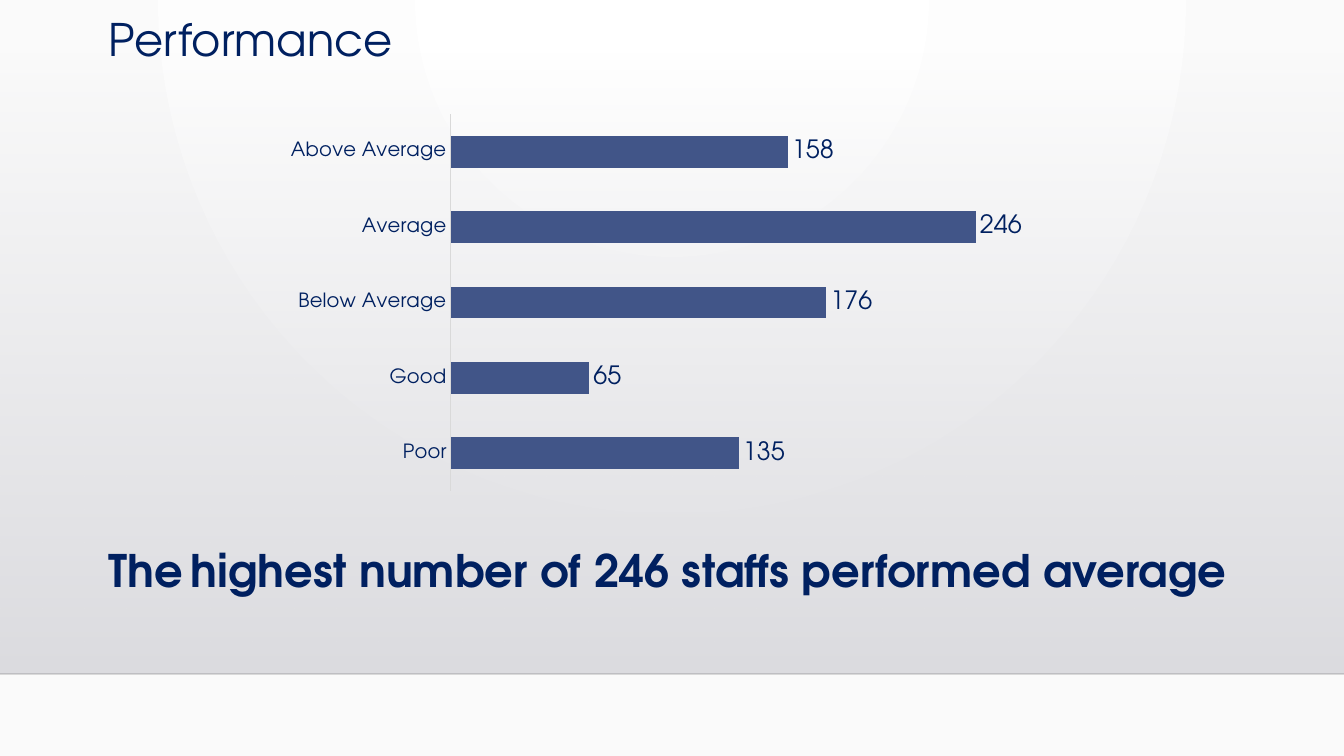
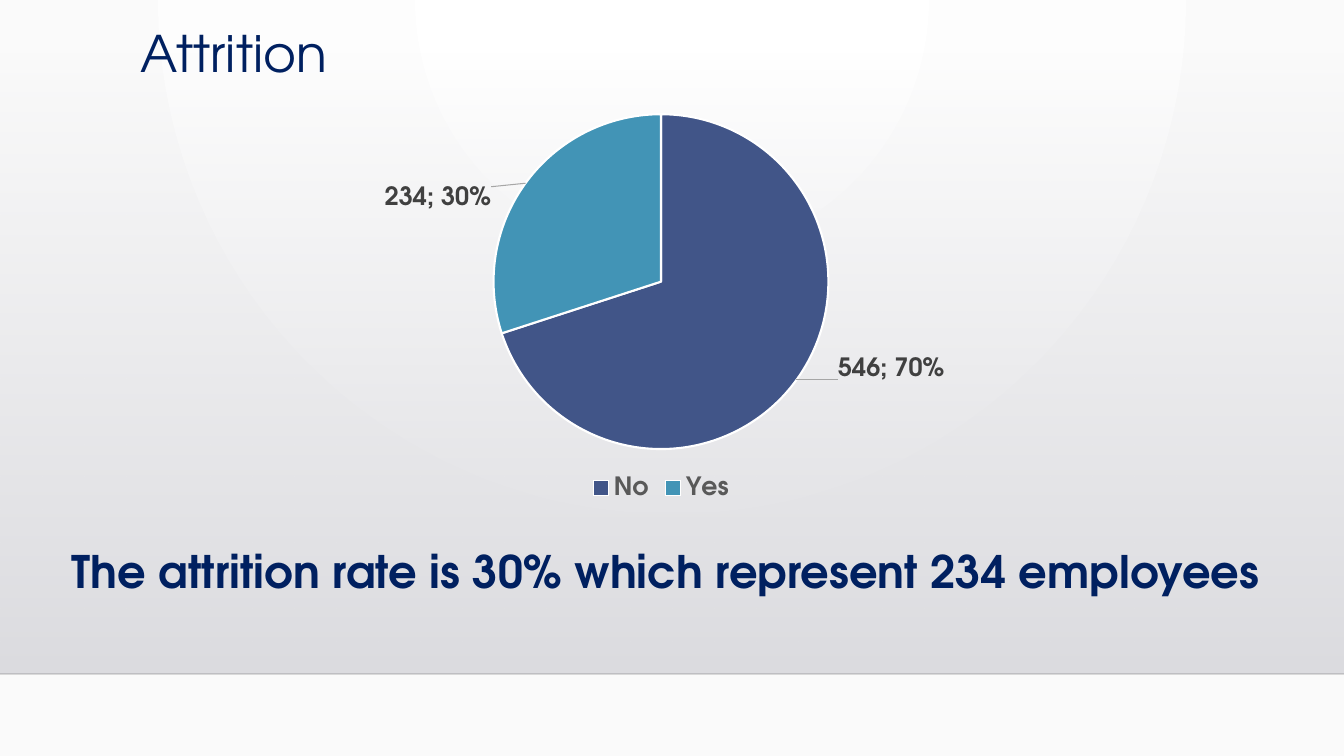
from pptx import Presentation
from pptx.chart.data import CategoryChartData
from pptx.dml.color import RGBColor
from pptx.enum.chart import XL_CHART_TYPE as ChartType
from pptx.enum.chart import XL_LABEL_POSITION as LabelPosition
from pptx.enum.chart import XL_LEGEND_POSITION as LegendPosition
from pptx.enum.chart import XL_TICK_LABEL_POSITION as TickLabels
from pptx.enum.chart import XL_TICK_MARK as TickMark
from pptx.enum.shapes import MSO_CONNECTOR as Connector
from pptx.enum.shapes import MSO_SHAPE as Shape
from pptx.oxml import parse_xml
from pptx.oxml.ns import nsdecls, qn
from pptx.util import Pt

WIDTH, HEIGHT = 1344, 756
EMU_PER_PX = 12192000 / WIDTH
FLOOR = 674
FONT = "TeX Gyre Adventor"
NAVY, INDIGO, TEAL = "002060", "415588", "4294B6"
DARK_GREY, MID_GREY, PALE_GREY = "404040", "595959", "D9D9D9"


def px(*lengths):
    return [round(length * EMU_PER_PX) for length in lengths]


def color(code):
    return RGBColor.from_string(code)


def element(tag, content="", attributes=""):
    name_space = nsdecls("a", "c")
    return parse_xml(f"<{tag} {name_space} {attributes}>{content}</{tag}>")


def set_font(font, size, code, bold=False):
    font.name, font.size, font.bold = FONT, Pt(size), bold
    font.color.rgb = color(code)


def set_line(line, code, width):
    line.color.rgb = color(code)
    line.width = Pt(width)


def set_gradient(parent, stops, direction):
    """Replace the solid fill under parent; stops are (percent, colour, opacity)."""
    stop_list = "".join(
        f'<a:gs pos="{percent * 1000}"><a:srgbClr val="{code}">'
        f'<a:alpha val="{opacity * 1000}"/></a:srgbClr></a:gs>'
        for percent, code, opacity in stops)
    solid = next(parent.iter(qn("a:solidFill")))
    gradient = element("a:gradFill", f"<a:gsLst>{stop_list}</a:gsLst>{direction}",
                       'rotWithShape="1"')
    solid.getparent().replace(solid, gradient)


def manual_layout(**fractions):
    values = "".join(f'<c:{key} val="{value}"/>' for key, value in fractions.items())
    return element("c:layout", f"<c:manualLayout>{values}</c:manualLayout>")


def place_plot(chart, x, y, w, h):
    """Fix the inner plot area, in fractions of the chart."""
    plot_area = next(chart.element.iter(qn("c:plotArea")))
    for old_layout in plot_area.findall(qn("c:layout")):
        plot_area.remove(old_layout)
    plot_area.insert(0, manual_layout(
        layoutTarget="inner", xMode="edge", yMode="edge", x=x, y=y, w=w, h=h))


class Deck:
    def __init__(self):
        self.presentation = Presentation()
        self.presentation.slide_width, self.presentation.slide_height = px(WIDTH, HEIGHT)
        self.slide = None

    def new_slide(self):
        self.slide = self.presentation.slides.add_slide(self.presentation.slide_layouts[6])
        fill = self.slide.background.fill
        fill.solid()
        fill.fore_color.rgb = color("FFFFFF")
        set_gradient(
            next(self.slide.element.iter(qn("p:bg"))),
            [(0, "FFFFFF", 100), (100, "FAFAFA", 100)],
            '<a:path path="circle">'
            '<a:fillToRect l="43000" t="0" r="43000" b="100000"/></a:path>')
        self.wall()
        self.floor_line()

    def wall(self):
        top = 51
        shape = self.slide.shapes.add_shape(
            Shape.RECTANGLE, *px(0, top, WIDTH, FLOOR - top))
        shape.shadow.inherit = False
        shape.line.fill.background()
        shape.fill.solid()
        shape.fill.fore_color.rgb = color("DEDEE2")
        set_gradient(shape.element.spPr, [(0, "DCDCE0", 0), (100, "DEDEE2", 100)],
                     '<a:lin ang="5400000" scaled="0"/>')

    def floor_line(self):
        line = self.slide.shapes.add_connector(
            Connector.STRAIGHT, *px(0, FLOOR, WIDTH, FLOOR))
        set_line(line.line, "000001", 1)
        properties = line.element.spPr
        next(properties.iter(qn("a:srgbClr"))).append(
            element("a:alpha", attributes='val="20000"'))
        properties.append(element("a:effectLst"))

    def text(self, text, left, top, width, height, size=32, bold=False, spacing=1.0):
        """Add a text box and return its paragraph."""
        box = self.slide.shapes.add_textbox(*px(left, top, width, height))
        box.text_frame.word_wrap = True
        paragraph = box.text_frame.paragraphs[0]
        paragraph.line_spacing = spacing
        self.run(paragraph, text, size, bold)
        return paragraph

    def run(self, paragraph, text, size=32, bold=False):
        run = paragraph.add_run()
        run.text = text
        set_font(run.font, size, NAVY, bold)

    def title(self, text, left, top, width, height, size):
        self.text(text, left, top, width, height, size=size, spacing=0.9)

    def caption(self, text, left, top):
        return self.text(text, left, top, 1219, 65, bold=True)

    def chart(self, kind, values, left, top, width, height):
        """values maps each category to its number."""
        data = CategoryChartData(number_format="0")
        data.categories = list(values)
        data.add_series("Series 1", list(values.values()))
        chart = self.slide.shapes.add_chart(
            kind, *px(left, top, width, height), data).chart
        chart.has_title = chart.has_legend = False
        set_font(chart.font, 10, "000000")
        return chart

    def bar_chart(self, values, *box):
        chart = self.chart(ChartType.BAR_CLUSTERED, values, *box)
        place_plot(chart, 0.21, 0.02, 0.77, 0.95)
        plot = chart.plots[0]
        plot.gap_width = 137
        plot.vary_by_categories = False
        value_axis = chart.value_axis
        value_axis.visible = value_axis.has_major_gridlines = False
        value_axis.minimum_scale, value_axis.maximum_scale = 0, 300
        axis = chart.category_axis
        axis.major_tick_mark = axis.minor_tick_mark = TickMark.NONE
        axis.tick_label_position = TickLabels.NEXT_TO_AXIS
        set_font(axis.tick_labels.font, 14, NAVY)
        set_line(axis.format.line, PALE_GREY, 0.75)
        series = plot.series[0]
        series.format.fill.solid()
        series.format.fill.fore_color.rgb = color(INDIGO)
        labels = series.data_labels
        labels.show_value = True
        labels.position = LabelPosition.OUTSIDE_END
        set_font(labels.font, 18, NAVY)

    def pie_chart(self, values, colors, label_shifts, *box):
        """label_shifts move each label, in fractions of the chart."""
        chart = self.chart(ChartType.PIE, values, *box)
        place_plot(chart, 0.27, 0.035, 0.46, 0.83)
        chart.has_legend = True
        chart.legend.position = LegendPosition.BOTTOM
        chart.legend.include_in_layout = False
        set_font(chart.legend.font, 18, MID_GREY, bold=True)
        series = chart.plots[0].series[0]
        labels = series.data_labels
        set_font(labels.font, 18, DARK_GREY, bold=True)
        leader = ('<c:spPr><a:ln w="9525"><a:solidFill><a:srgbClr val="A6A6A6"/>'
                  '</a:solidFill></a:ln></c:spPr>')
        labels._element.append(element("c:leaderLines", leader))
        for index, (code, (x, y)) in enumerate(zip(colors, label_shifts)):
            point = series.points[index]
            point.format.fill.solid()
            point.format.fill.fore_color.rgb = color(code)
            set_line(point.format.line, "FFFFFF", 1.5)
            label = point.data_label
            set_font(label.font, 18, DARK_GREY, bold=True)
            label.position = LabelPosition.INSIDE_END
            label_xml = labels._element.findall(qn("c:dLbl"))[index]
            label_xml.insert(1, manual_layout(x=x, y=y))
            label_xml.find(qn("c:showPercent")).set("val", "1")
            label_xml.append(element("c:separator", "; "))


def performance_slide(deck):
    deck.new_slide()
    deck.title("Performance", 99, 13, 1146, 64, size=32)
    staff = {"Poor": 135, "Good": 65, "Below Average": 176,
             "Average": 246, "Above Average": 158}
    deck.bar_chart(staff, 276, 106, 832, 397)
    caption = deck.caption("The", 99, 538)
    deck.run(caption, " ", size=18)
    deck.run(caption, "highest number of 246 staffs performed average", bold=True)


def attrition_slide(deck):
    deck.new_slide()
    deck.title("Attrition", 131, 24, 1164, 40, size=36)
    deck.pie_chart({"No": 546, "Yes": 234}, [INDIGO, TEAL],
                   [(0.21, 0.01), (-0.2, 0)], 297, 99, 728, 406)
    deck.caption("The attrition rate is 30% which represent 234 employees", 62, 539)


def main():
    deck = Deck()
    performance_slide(deck)
    attrition_slide(deck)
    deck.presentation.save("out.pptx")


if __name__ == "__main__":
    main()
